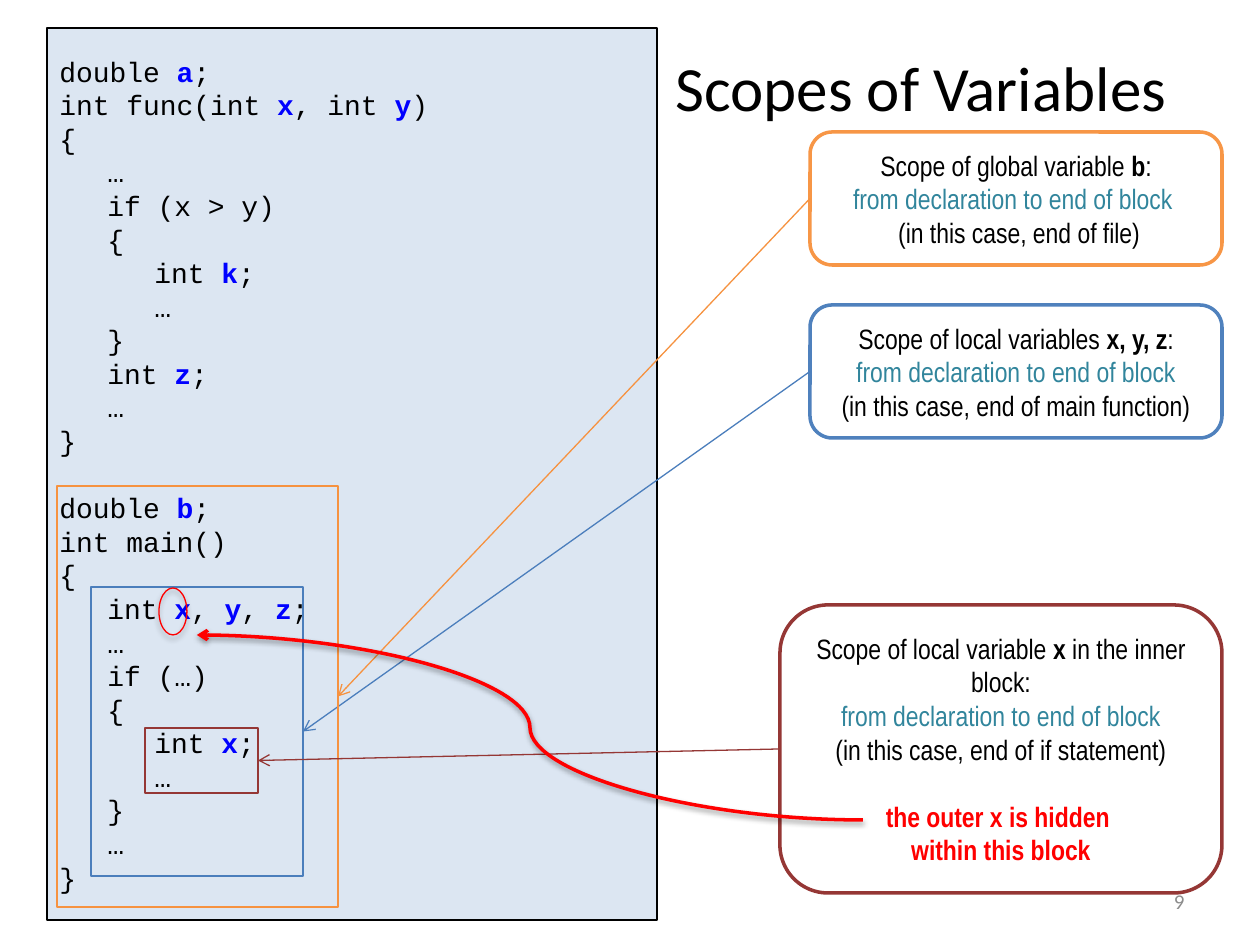
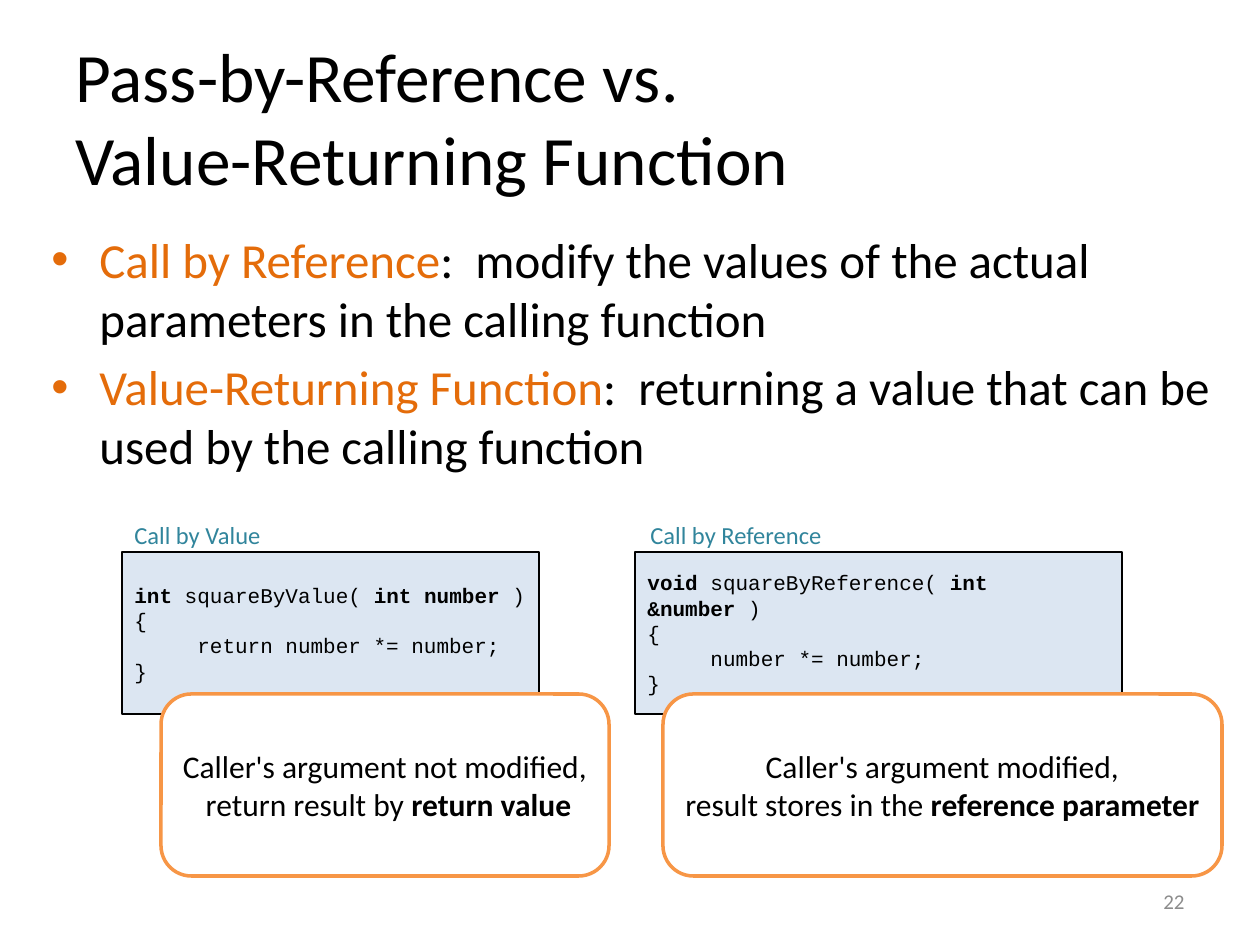
from lxml.etree import SubElement
from pptx import Presentation
from pptx.dml.color import RGBColor
from pptx.enum.shapes import MSO_CONNECTOR, MSO_SHAPE
from pptx.enum.text import MSO_ANCHOR, PP_ALIGN
from pptx.oxml.ns import qn
from pptx.util import Pt

PX = 914400 / 126

BLACK = RGBColor(0x00, 0x00, 0x00)
WHITE = RGBColor(0xFF, 0xFF, 0xFF)
GRAY = RGBColor(0x8C, 0x8C, 0x8C)
PANEL_BLUE = RGBColor(0xDC, 0xE6, 0xF2)
VARIABLE_BLUE = RGBColor(0x00, 0x00, 0xFF)
BLUE = RGBColor(0x4F, 0x81, 0xBD)
BLUE_LINE = RGBColor(0x4B, 0x7E, 0xBC)
ORANGE = RGBColor(0xF7, 0x96, 0x46)
ORANGE_LINE = RGBColor(0xF6, 0x92, 0x40)
DARK_ORANGE = RGBColor(0xE4, 0x6C, 0x0A)
MAROON = RGBColor(0x95, 0x37, 0x35)
TEAL = RGBColor(0x31, 0x85, 0x9C)
RED = RGBColor(0xFF, 0x00, 0x00)

BODY_FONT = "Calibri"
CODE_FONT = "Courier New"
CALLOUT_FONT = "Arial Narrow"
THIN, THICK = 0.75, 2
CODE_LEADING = 1.2

SCOPE_CODE = """double |a|;
int func(int |x|, int |y|)
{
\t…
\tif (x > y)
\t{
\t\tint |k|;
\t\t…
\t}
\tint |z|;
\t…
}

double |b|;
int main()
{
\tint |x|, |y|, |z|;
\t…
\tif (…)
\t{
\t\tint |x|;
\t\t…
\t}
\t…
}"""
BY_VALUE_CODE = """|int |squareByValue( |int number |)
{
\treturn number *= number;
}"""
BY_REFERENCE_CODE = """|void |squareByReference( |int &number| )
{
\tnumber *= number;
}"""


def px(*lengths):
    return [round(length * PX) for length in lengths]


def write(frame, lines, font, size, color=BLACK, align=PP_ALIGN.LEFT,
          bold=True, accent=None, tabs=(), bullet_indent=0):
    """Write one paragraph per line; text between bars gets bold and accent."""
    frame.word_wrap = True
    paragraphs = []
    for number, line in enumerate(lines):
        paragraph = frame.add_paragraph() if number else frame.paragraphs[0]
        properties = paragraph._p.get_or_add_pPr()
        if bullet_indent:
            indent, = px(bullet_indent)
            properties.set("marL", str(indent))
            properties.set("indent", str(-indent))
            SubElement(properties, qn("a:buFont"), typeface="Arial")
            SubElement(properties, qn("a:buChar"), char="•")
        if tabs:
            stops = SubElement(properties, qn("a:tabLst"))
            for stop in px(*tabs):
                SubElement(stops, qn("a:tab"), pos=str(stop), algn="l")
        paragraph.alignment = align
        paragraph.font.name = font
        paragraph.font.size = Pt(size)
        paragraph.font.color.rgb = color
        for position, part in enumerate(line.split("|")):
            if not part:
                continue
            run = paragraph.add_run()
            run.text = part
            if position % 2:
                run.font.bold = bold
                if accent is not None:
                    run.font.color.rgb = accent
        paragraphs.append(paragraph)
    return paragraphs


def add_text(slide, box, lines, size, anchor=MSO_ANCHOR.MIDDLE, **style):
    frame = slide.shapes.add_textbox(*px(*box)).text_frame
    frame.vertical_anchor = anchor
    return write(frame, lines, BODY_FONT, size, **style)


def add_title(slide, box, lines, size):
    add_text(slide, box, lines, size)


def add_slide_number(slide, number):
    add_text(slide, (903, 876, 294, 50), [str(number)], 12,
             color=GRAY, align=PP_ALIGN.RIGHT)


def add_outline(slide, kind, box, line, width=THIN, fill=None):
    shape = slide.shapes.add_shape(kind, *px(*box))
    shape.shadow.inherit = False
    if fill is None:
        shape.fill.background()
    else:
        shape.fill.solid()
        shape.fill.fore_color.rgb = fill
    shape.line.color.rgb = line
    shape.line.width = Pt(width)
    shape.text_frame.vertical_anchor = MSO_ANCHOR.MIDDLE
    return shape


def add_code(slide, box, code, size, tabs, accent=None):
    panel = add_outline(slide, MSO_SHAPE.RECTANGLE, box, BLACK, fill=PANEL_BLUE)
    blocks = code.split("\n\n")
    lines = "\n".join(blocks).split("\n")
    paragraphs = write(panel.text_frame, lines, CODE_FONT, size,
                       accent=accent, tabs=tabs)
    for paragraph in paragraphs:
        paragraph.line_spacing = Pt(size * CODE_LEADING)
    block_start = 0
    for block in blocks[:-1]:
        block_start += len(block.split("\n"))
        paragraphs[block_start].space_before = Pt(size * CODE_LEADING)


def add_callout(slide, box, lines, font, size, line):
    callout = add_outline(slide, MSO_SHAPE.ROUNDED_RECTANGLE, box, line, THICK, WHITE)
    frame = callout.text_frame
    frame.margin_left, frame.margin_right = px(5, 5)
    return callout, write(frame, lines, font, size, align=PP_ALIGN.CENTER)


def add_arrow(slide, kind, ends, color, width=THIN):
    arrow = slide.shapes.add_connector(kind, *px(*ends))
    arrow.line.color.rgb = color
    arrow.line.width = Pt(width)
    SubElement(arrow.line._get_or_add_ln(), qn("a:tailEnd"), type="arrow")
    SubElement(arrow._element.spPr, qn("a:effectLst"))
    return arrow


def add_soft_shadow(shape, distance, opacity):
    effects = shape._element.spPr.find(qn("a:effectLst"))
    shadow = SubElement(effects, qn("a:outerShdw"), blurRad=str(Pt(3.1)),
                        dist=str(Pt(distance)), dir="5400000", rotWithShape="0")
    color = SubElement(shadow, qn("a:srgbClr"), val=str(BLACK))
    SubElement(color, qn("a:alpha"), val=str(opacity * 1000))


def add_scope(slide, callout_box, lines, callout_line, scope_box, scope_line):
    """Frame a scope in the code and point to it from its explanation."""
    callout, paragraphs = add_callout(slide, callout_box, lines, CALLOUT_FONT, 16,
                                      callout_line)
    paragraphs[1].font.color.rgb = TEAL
    scope = add_outline(slide, MSO_SHAPE.RECTANGLE, scope_box, scope_line)
    arrow = add_arrow(slide, MSO_CONNECTOR.STRAIGHT, (0, 0, 0, 0), scope_line)
    arrow.begin_connect(callout, 1)
    arrow.end_connect(scope, 3)
    return paragraphs


def build_scopes(slide):
    add_title(slide, (663, 8, 597, 157), ["Scopes of Variables"], 36)
    add_code(slide, (47, 28, 610, 892), SCOPE_CODE, 16, (48, 95), VARIABLE_BLUE)
    add_slide_number(slide, 9)

    rule = "from declaration to end of block"
    add_scope(slide, (810, 305, 412, 133),
              ["Scope of local variables |x, y, z|:", rule,
               "(in this case, end of main function)"],
              BLUE, (91, 587, 212, 289), BLUE_LINE)
    add_scope(slide, (810, 132, 412, 133),
              ["Scope of global variable |b|:", rule + " ",
               " (in this case, end of file)"],
              ORANGE, (57, 486, 281, 421), ORANGE_LINE)
    inner = add_scope(slide, (780, 605, 442, 288),
                      ["Scope of local variable |x |in the inner block:", rule,
                       "(in this case, end of if statement)",
                       "the outer x is hidden ", "within this block"],
                      MAROON, (145, 728, 113, 65), MAROON)
    warning = inner[3:]
    warning[0].space_before = Pt(19.2)
    for paragraph in warning:
        paragraph.font.bold = True
        paragraph.font.color.rgb = RED

    hidden_x = add_outline(slide, MSO_SHAPE.OVAL, (159, 588, 28, 47), RED)
    add_soft_shadow(hidden_x, 1.8, 35)
    hiding = add_arrow(slide, MSO_CONNECTOR.CURVE, (863, 820, 197, 635), RED, THICK)
    add_soft_shadow(hiding, 1.6, 38)


def build_comparison(slide):
    add_title(slide, (63, 38, 1134, 157),
              ["Pass-by-Reference vs. ", "Value-Returning Function"], 39.6)
    points = add_text(
        slide, (39, 223, 1183, 635),
        ["|Call by Reference|:  modify the values of the actual parameters "
         "in the calling function",
         "|Value-Returning Function|:  returning a value that can be used "
         "by the calling function"],
        28, anchor=MSO_ANCHOR.TOP, bold=False, accent=DARK_ORANGE, bullet_indent=48)
    for point in points:
        point.space_after = Pt(5.6)
    add_slide_number(slide, 22)

    examples = [
        ("Call by Value", (122, 514, 238, 43), BY_VALUE_CODE, (122, 552, 417, 162),
         ["Caller's argument not modified,", " return result by |return value|"],
         (161, 694, 448, 182)),
        ("Call by Reference", (638, 514, 345, 43), BY_REFERENCE_CODE,
         (635, 552, 487, 162),
         ["Caller's argument modified,",
          "result stores in the |reference parameter|"],
         (663, 694, 559, 182)),
    ]
    for label, label_box, code, code_box, effect, effect_box in examples:
        add_code(slide, code_box, code, 12, (63,))
        add_text(slide, label_box, [label], 14, anchor=MSO_ANCHOR.TOP, color=TEAL)
        add_callout(slide, effect_box, effect, BODY_FONT, 18, ORANGE)


def main():
    deck = Presentation()
    deck.slide_width, deck.slide_height = px(1260, 945)
    for build in (build_scopes, build_comparison):
        build(deck.slides.add_slide(deck.slide_layouts[6]))
    deck.save("out.pptx")


if __name__ == "__main__":
    main()
